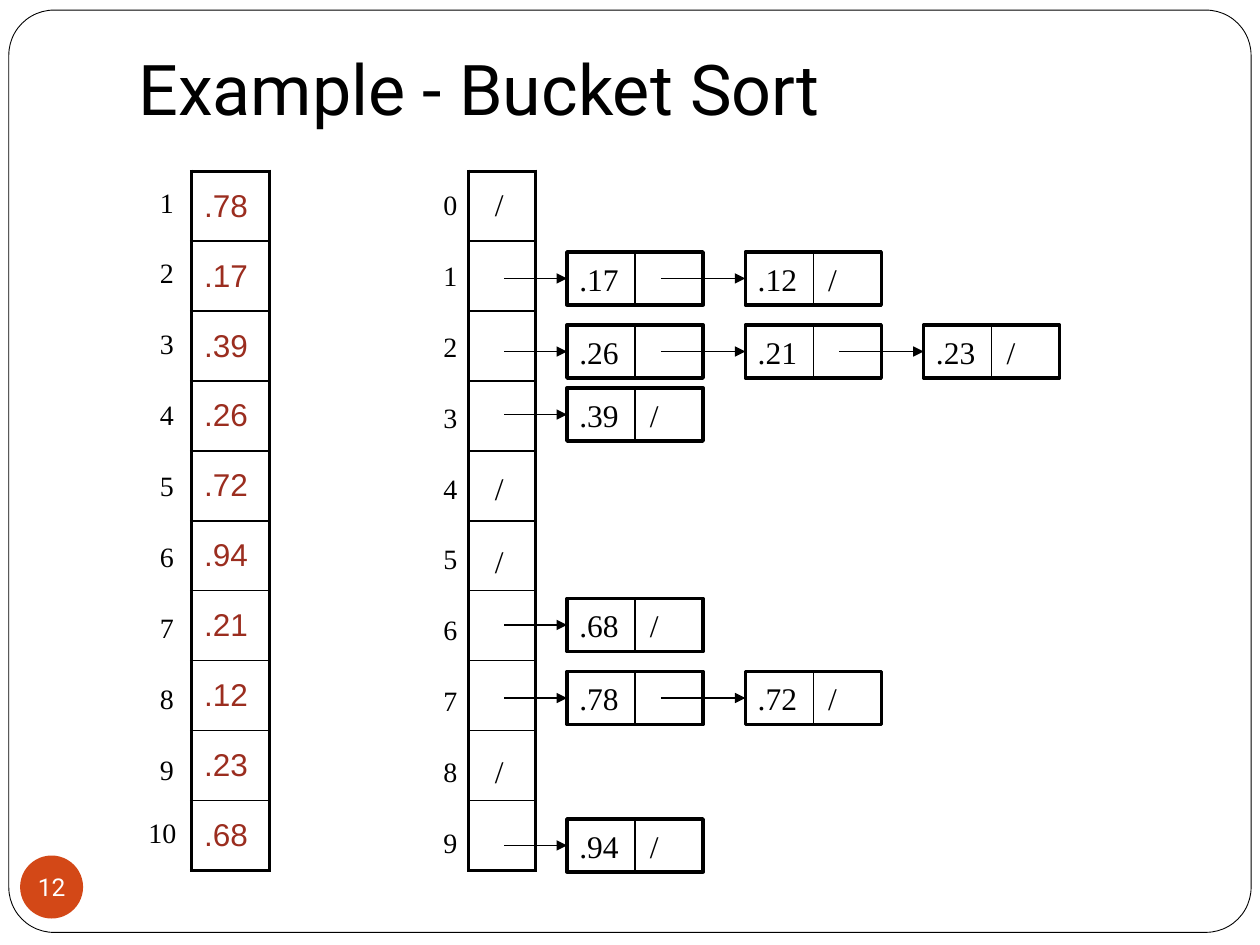
from lxml import etree
from pptx import Presentation
from pptx.dml.color import RGBColor
from pptx.enum import shapes, text
from pptx.oxml import ns
from pptx.util import Inches, Pt

COLORS = {"ink": "000000", "paper": "FFFFFF", "value": "9B2D1F", "badge": "D34817"}
SERIF = "Times New Roman"
CELL_COUNT = 10
COLUMN_HEIGHT = 5.55
LABEL_STEP = 0.5625
NODE_WIDTH, NODE_HEIGHT, NODE_STEP = 1.08, 0.42, 1.415

INPUT_VALUES = [".78", ".17", ".39", ".26", ".72", ".94", ".21", ".12", ".23", ".68"]
# Top of each chain and the values linked in it
CHAINS = [
    (2.0, [".17", ".12"]),
    (2.58, [".26", ".21", ".23"]),
    (3.08, [".39"]),
    (4.75, [".68"]),
    (5.33, [".78", ".72"]),
    (6.5, [".94"]),
]
EMPTY_BUCKET_TOPS = [1.42, 3.67, 4.25, 5.92]


def color(name):
    return RGBColor.from_string(COLORS[name])


def style(para, size, font, ink="ink"):
    para.font.size = Pt(size)
    para.font.name = font
    para.font.color.rgb = color(ink)


def add_text(page, words, left, top, width, height, size, font):
    box = page.shapes.add_textbox(Inches(left), Inches(top), Inches(width), Inches(height))
    para = box.text_frame.paragraphs[0]
    para.text = words
    style(para, size, font)
    return box


def add_outline(page, kind, left, top, width, height, fill=None, line=None):
    """Add a preset shape; without a fill or line width that part stays empty."""
    shape = page.shapes.add_shape(
        kind, Inches(left), Inches(top), Inches(width), Inches(height))
    shape.shadow.inherit = False
    if fill:
        shape.fill.solid()
        shape.fill.fore_color.rgb = color(fill)
    else:
        shape.fill.background()
    if line:
        shape.line.color.rgb = color("ink")
        shape.line.width = Pt(line)
    else:
        shape.line.fill.background()
    return shape


def add_line(page, start, end, arrow=False):
    line = page.shapes.add_connector(
        shapes.MSO_CONNECTOR.STRAIGHT, *(Inches(value) for value in (*start, *end)))
    line.line.color.rgb = color("ink")
    line.line.width = Pt(0.75)
    if arrow:
        etree.SubElement(line.line._get_or_add_ln(), ns.qn("a:tailEnd"), type="triangle")
    etree.SubElement(line._element.spPr, ns.qn("a:effectLst"))


def set_borders(cell, widths):
    """Draw the cell's edges, given as a dict of side letter to points."""
    properties = cell._tc.get_or_add_tcPr()
    for side, width in widths.items():
        edge = etree.SubElement(properties, ns.qn(f"a:ln{side}"), w=str(Pt(width)))
        fill = etree.SubElement(edge, ns.qn("a:solidFill"))
        etree.SubElement(fill, ns.qn("a:srgbClr"), val=COLORS["ink"])


def add_array(page, left, top, width, values):
    frame = page.shapes.add_table(
        len(values), 1, Inches(left), Inches(top), Inches(width), Inches(COLUMN_HEIGHT))
    table = frame.table
    table.first_row = table.horz_banding = False
    for index, value in enumerate(values):
        cell = table.cell(index, 0)
        set_borders(cell, {
            "L": 2.25,
            "R": 2.25,
            "T": 2.25 if index == 0 else 1,
            "B": 2.25 if index == len(values) - 1 else 1,
        })
        cell.fill.background()
        cell.vertical_anchor = text.MSO_ANCHOR.MIDDLE
        para = cell.text_frame.paragraphs[0]
        para.text = value
        style(para, 18, "Arial", "value")


def add_indices(page, left, top, numbers):
    for row, number in enumerate(numbers):
        add_text(page, str(number), left, top + row * LABEL_STEP, 0.32, 0.37, 16, SERIF)


def add_node(page, left, top, value, is_last):
    box = add_outline(page, shapes.MSO_SHAPE.RECTANGLE, left, top,
                      NODE_WIDTH, NODE_HEIGHT, line=2)
    box.text_frame.vertical_anchor = text.MSO_ANCHOR.MIDDLE
    para = box.text_frame.paragraphs[0]
    para.text = f"{value}\t/" if is_last else value
    para.alignment = text.PP_ALIGN.LEFT
    tabs = etree.SubElement(para._p.get_or_add_pPr(), ns.qn("a:tabLst"))
    etree.SubElement(tabs, ns.qn("a:tab"), pos=str(Inches(0.56)), algn="l")
    style(para, 18, SERIF)
    middle = left + NODE_WIDTH / 2
    add_line(page, (middle, top), (middle, top + NODE_HEIGHT))


def add_chain(page, left, top, values):
    """Add linked nodes, each with the arrow that leads to it."""
    for index, value in enumerate(values):
        node_left = left + index * NODE_STEP
        add_node(page, node_left, top, value, index == len(values) - 1)
        reach = 0.67 if index else 0.5
        center = top + NODE_HEIGHT / 2
        add_line(page, (node_left - reach, center), (node_left, center), arrow=True)


def add_frame(page):
    frame = add_outline(page, shapes.MSO_SHAPE.ROUNDED_RECTANGLE,
                        0.07, 0.08, 9.86, 7.32, "paper", 0.5)
    frame.adjustments[0] = 0.049


def add_title(page, left, top, width, height):
    box = add_text(page, "Example - Bucket Sort", left, top, width, height, 40, "Roboto")
    frame = box.text_frame
    frame.word_wrap = True
    frame.vertical_anchor = text.MSO_ANCHOR.BOTTOM
    frame.margin_bottom = Inches(0.1)


def add_page_number(page, left, top, size):
    badge = add_outline(page, shapes.MSO_SHAPE.OVAL, left, top, size, size, "badge")
    frame = badge.text_frame
    frame.margin_left = frame.margin_right = frame.margin_top = frame.margin_bottom = 0
    frame.word_wrap = False
    frame.vertical_anchor = text.MSO_ANCHOR.MIDDLE
    para = frame.paragraphs[0]
    para.text = "12"
    para.alignment = text.PP_ALIGN.CENTER
    style(para, 14, "Roboto", "paper")


def add_input(page, left, top):
    add_array(page, left, top, 0.62, INPUT_VALUES)
    add_indices(page, left - 0.35, top + 0.06, range(1, CELL_COUNT))
    add_text(page, str(CELL_COUNT), left - 0.44, top + 5.06, 0.45, 0.37, 16, SERIF)


def add_buckets(page, left, top):
    add_array(page, left, top, 0.53, [""] * CELL_COUNT)
    add_indices(page, left - 0.3, top + 0.08, range(CELL_COUNT))
    for chain_top, values in CHAINS:
        add_chain(page, left + 0.78, chain_top, values)
    for slash_top in EMPTY_BUCKET_TOPS:
        add_text(page, "/", left + 0.11, slash_top, 0.27, 0.4, 18, SERIF)


def main():
    deck = Presentation()
    deck.slide_width, deck.slide_height = Inches(10), Inches(7.5)
    page = deck.slides.add_slide(deck.slide_layouts[6])
    add_frame(page)
    add_title(page, 1, 0.25, 8.5, 0.88)
    add_input(page, 1.52, 1.36)
    add_buckets(page, 3.72, 1.36)
    add_page_number(page, 0.16, 6.79, 0.5)
    deck.save("out.pptx")


if __name__ == "__main__":
    main()
